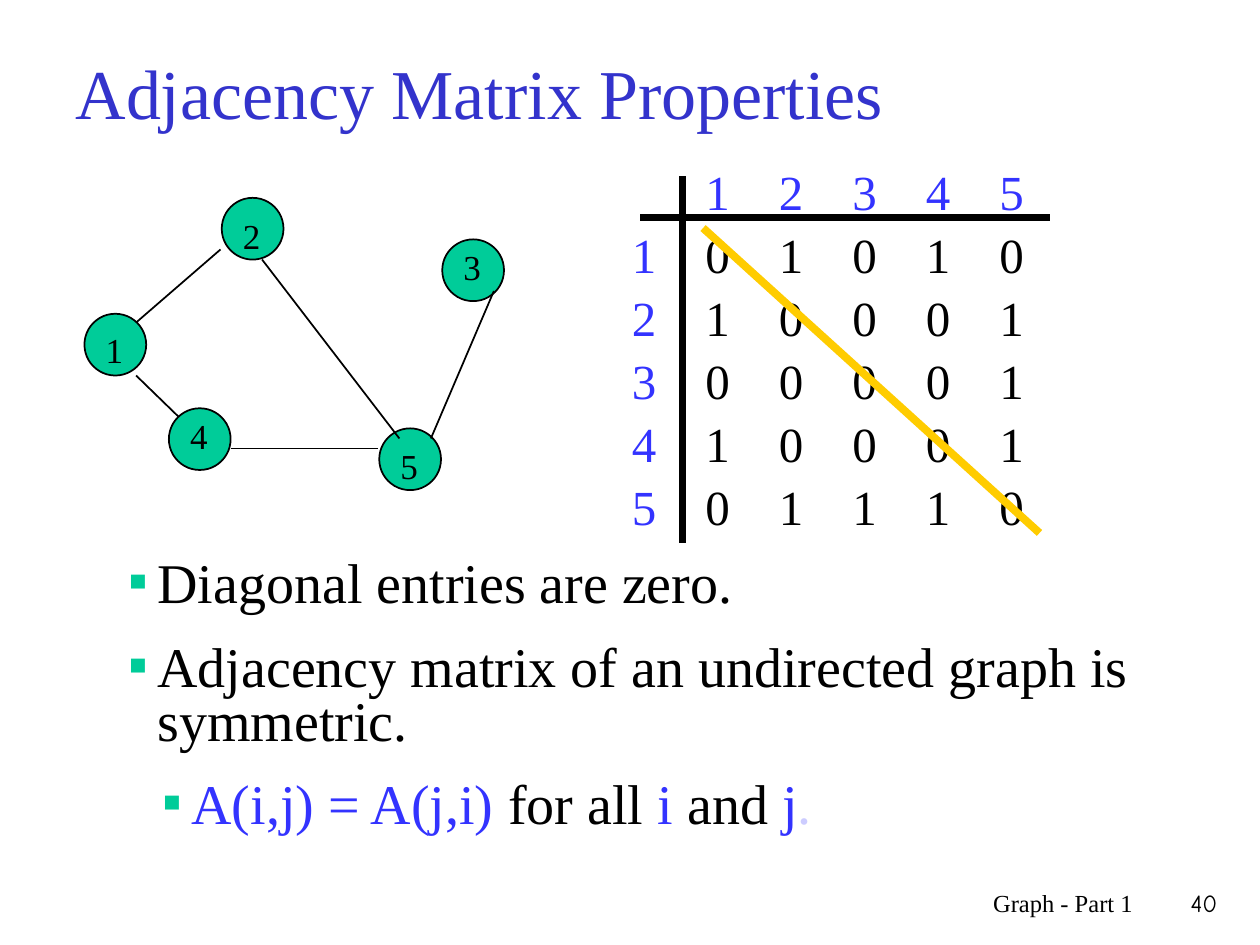
from lxml.etree import SubElement
from pptx import Presentation
from pptx.dml.color import RGBColor
from pptx.enum.shapes import MSO_CONNECTOR as CONNECTOR, MSO_SHAPE as SHAPE
from pptx.enum.text import MSO_ANCHOR as ANCHOR, MSO_AUTO_SIZE as AUTO_SIZE, PP_ALIGN as ALIGN
from pptx.oxml.ns import qn
from pptx.util import Inches, Pt

SERIF = "Times New Roman"
BLACK, BLUE, GREEN, YELLOW = "000000", "3333FF", "00CC99", "FFCC00"

NODE_SIZE = 0.49
NODES = [
    ("1", 0.67, 2.49, 0.07),
    ("2", 1.76, 1.57, 0.08),
    ("3", 3.51, 1.9, 0),
    ("4", 1.34, 3.24, 0),
    ("5", 3.01, 3.4, 0.08),
]
EDGES = [
    ((1.75, 1.98), (1.08, 2.56)),
    ((2.08, 2.06), (3.17, 3.48)),
    ((1.08, 2.98), (1.42, 3.31)),
    ((3.92, 2.31), (3.42, 3.48)),
    ((1.83, 3.56), (3, 3.56)),
]
MATRIX = ["01010", "10001", "00001", "10001", "01110"]
MATRIX_LEFT, MATRIX_TOP = 5.5, 1.73
COLUMN_STEP, ROW_STEP = 7 / 12, 0.5
RULES = [
    ((5.08, 1.73), (8.33, 1.73), BLACK, 4),
    ((5.42, 1.4), (5.42, 4.31), BLACK, 4),
    ((5.58, 1.81), (8.25, 4.23), YELLOW, 4.5),
]
PROPERTIES = [
    (0, [("Diagonal entries are zero.", BLACK)]),
    (0, [("Adjacency matrix of an undirected graph is symmetric.", BLACK)]),
    (1, [("A(i,j) = A(j,i) ", BLUE), ("for all ", BLACK), ("i ", BLUE),
         ("and ", BLACK), ("j", BLUE), (".", "CCCCFF")]),
]
MARGINS = [0.23, 0.5]
HANGING = 0.23


def color(value):
    return RGBColor.from_string(value)


def place(shape, left, top, width, height):
    shape.left, shape.top = Inches(left), Inches(top)
    shape.width, shape.height = Inches(width), Inches(height)


def set_font(target, size, value, name=SERIF):
    target.font.name, target.font.size = name, Pt(size)
    target.font.color.rgb = color(value)


def add_text(page, text, area, size, value=BLACK, name=SERIF, align=ALIGN.LEFT):
    box = page.shapes.add_textbox(*map(Inches, area))
    box.text_frame.word_wrap = True
    para = box.text_frame.paragraphs[0]
    para.text, para.alignment = text, align
    set_font(para, size, value, name)


def add_line(page, start, end, value=BLACK, width=1):
    line = page.shapes.add_connector(CONNECTOR.STRAIGHT, *map(Inches, start + end))
    line.line.color.rgb = color(value)
    line.line.width = Pt(width)
    SubElement(line._element.spPr, qn("a:effectLst"))


def add_bullet(para, level):
    props = para._p.get_or_add_pPr()
    props.set("marL", str(Inches(MARGINS[level])))
    props.set("indent", str(-Inches(HANGING)))
    tint = SubElement(props, qn("a:buClr"))
    SubElement(tint, qn("a:srgbClr"), val=GREEN)
    SubElement(props, qn("a:buFont"), typeface=SERIF)
    SubElement(props, qn("a:buChar"), char="▪")


def add_title(page):
    title = page.shapes.title
    place(title, 0.5, 0.3, 9, 0.85)
    frame = title.text_frame
    frame.text = "Adjacency Matrix Properties"
    frame.auto_size = AUTO_SIZE.NONE
    frame.vertical_anchor = ANCHOR.MIDDLE
    frame.paragraphs[0].alignment = ALIGN.LEFT
    set_font(frame.paragraphs[0], 40, "3333CC")


def add_graph(page):
    for label, left, top, drop in NODES:
        node = page.shapes.add_shape(SHAPE.OVAL, *map(Inches, (left, top, NODE_SIZE, NODE_SIZE)))
        node.shadow.inherit = False
        node.fill.solid()
        node.fill.fore_color.rgb = color(GREEN)
        node.line.color.rgb = color(BLACK)
        node.line.width = Pt(1)
        add_text(page, label, (left + 0.07, top + drop, 0.35, 0.43), 20)
    for start, end in EDGES:
        add_line(page, start, end)


def add_matrix(page):
    for i, row in enumerate(MATRIX):
        left = MATRIX_LEFT + i * COLUMN_STEP
        top = MATRIX_TOP + i * ROW_STEP
        add_text(page, str(i + 1), (left, MATRIX_TOP - ROW_STEP, 0.5, 0.57), 28, BLUE)
        add_text(page, str(i + 1), (MATRIX_LEFT - COLUMN_STEP, top, 0.5, 0.57), 28, BLUE)
        for j, entry in enumerate(row):
            add_text(page, entry, (MATRIX_LEFT + j * COLUMN_STEP, top, 0.5, 0.57), 28)
    for rule in RULES:
        add_line(page, *rule)


def add_properties(page):
    body = page.placeholders[1]
    place(body, 0.92, 4.4, 8.83, 2.34)
    frame = body.text_frame
    frame.auto_size = AUTO_SIZE.NONE
    for i, (level, spans) in enumerate(PROPERTIES):
        para = frame.add_paragraph() if i else frame.paragraphs[0]
        add_bullet(para, level)
        para.level = level
        para.line_spacing = 0.8
        para.space_before = Pt(17 if i else 0)
        for text, value in spans:
            span = para.add_run()
            span.text = text
            set_font(span, 32, value)


def main():
    deck = Presentation()
    deck.slide_width, deck.slide_height = Inches(10), Inches(7.5)
    page = deck.slides.add_slide(deck.slide_layouts[1])
    add_title(page)
    add_graph(page)
    add_matrix(page)
    add_properties(page)
    add_text(page, "Graph - Part 1", (5.92, 7, 3.17, 0.5), 14, align=ALIGN.RIGHT)
    add_text(page, "40", (9.08, 7, 0.68, 0.5), 14, name="Comic Neue", align=ALIGN.RIGHT)
    deck.save("out.pptx")


if __name__ == "__main__":
    main()
